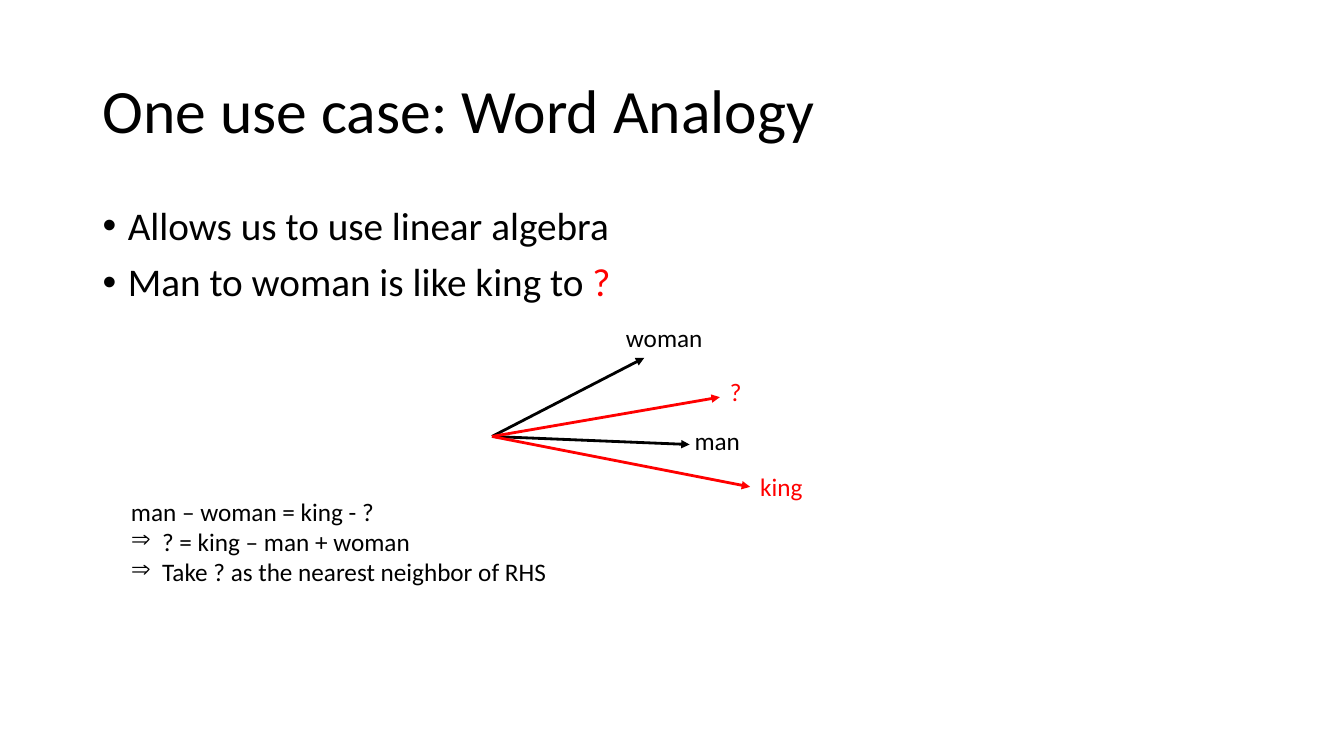
from lxml import etree
from pptx import Presentation
from pptx import util as u
from pptx.dml.color import RGBColor
from pptx.enum import shapes, text
from pptx.oxml.ns import qn

PX = 9144
FONT = "Calibri"
BLACK = RGBColor(0, 0, 0)
RED = RGBColor(255, 0, 0)
ORIGIN = (488, 433)
VECTORS = [
    ("woman", (639, 355), (611, 315), BLACK),
    ("man", (684, 441), (679, 417), BLACK),
    ("?", (714, 394), (714, 368), RED),
    ("king", (744, 483), (744, 463), RED),
]


def px(length):
    return u.Emu(length * PX)


def add_bullet(paragraph, mark, font, indent):
    props = paragraph._p.get_or_add_pPr()
    props.set("marL", str(px(indent)))
    props.set("indent", str(px(-indent)))
    etree.SubElement(props, qn("a:buFont")).set("typeface", font)
    etree.SubElement(props, qn("a:buChar")).set("char", mark)


def add_text(slide, paragraphs, box, size=18, color=BLACK, spacing=1.0,
             before=0, anchor=text.MSO_ANCHOR.TOP, bullet=None, first_bullet=0):
    frame = slide.shapes.add_textbox(*map(px, box)).text_frame
    frame.word_wrap = True
    frame.vertical_anchor = anchor
    for index, runs in enumerate(paragraphs):
        paragraph = frame.paragraphs[0] if index == 0 else frame.add_paragraph()
        paragraph.line_spacing = spacing
        if index:
            paragraph.space_before = u.Pt(before)
        if bullet and index >= first_bullet:
            add_bullet(paragraph, *bullet)
        for words, run_color in runs:
            run = paragraph.add_run()
            run.text = words
            run.font.name = FONT
            run.font.size = u.Pt(size)
            run.font.color.rgb = run_color or color


def add_vector(slide, tip, color):
    vector = slide.shapes.add_connector(
        shapes.MSO_CONNECTOR.STRAIGHT, *map(px, ORIGIN + tip))
    vector.line.color.rgb = color
    vector.line.width = u.Pt(2)
    etree.SubElement(vector.line._get_or_add_ln(), qn("a:tailEnd")).set("type", "triangle")
    etree.SubElement(vector._element.spPr, qn("a:effectLst"))


def main():
    deck = Presentation()
    deck.slide_width, deck.slide_height = px(1333), px(750)
    slide = deck.slides.add_slide(deck.slide_layouts[6])

    add_text(slide, [[("One use case: Word Analogy", None)]], (92, 40, 1150, 145),
             size=44, spacing=0.9, anchor=text.MSO_ANCHOR.MIDDLE)
    add_text(slide, [[("Allows us to use linear algebra", None)],
                     [("Man to woman is like king to ", None), ("?", RED)]],
             (92, 200, 1150, 476), size=28, spacing=0.9, before=10,
             bullet=("•", "Arial", 25))

    for word, tip, label, color in VECTORS:
        add_vector(slide, tip, color)
        add_text(slide, [[(word, color)]], label + (101, 40))

    add_text(slide, [[("man – woman = king - ?", None)],
                     [("? = king – man + woman", None)],
                     [("Take ? as the nearest neighbor of RHS", None)]],
             (120, 487, 632, 101), bullet=("⇒", "Symbol", 31), first_bullet=1)
    deck.save("out.pptx")


if __name__ == "__main__":
    main()
